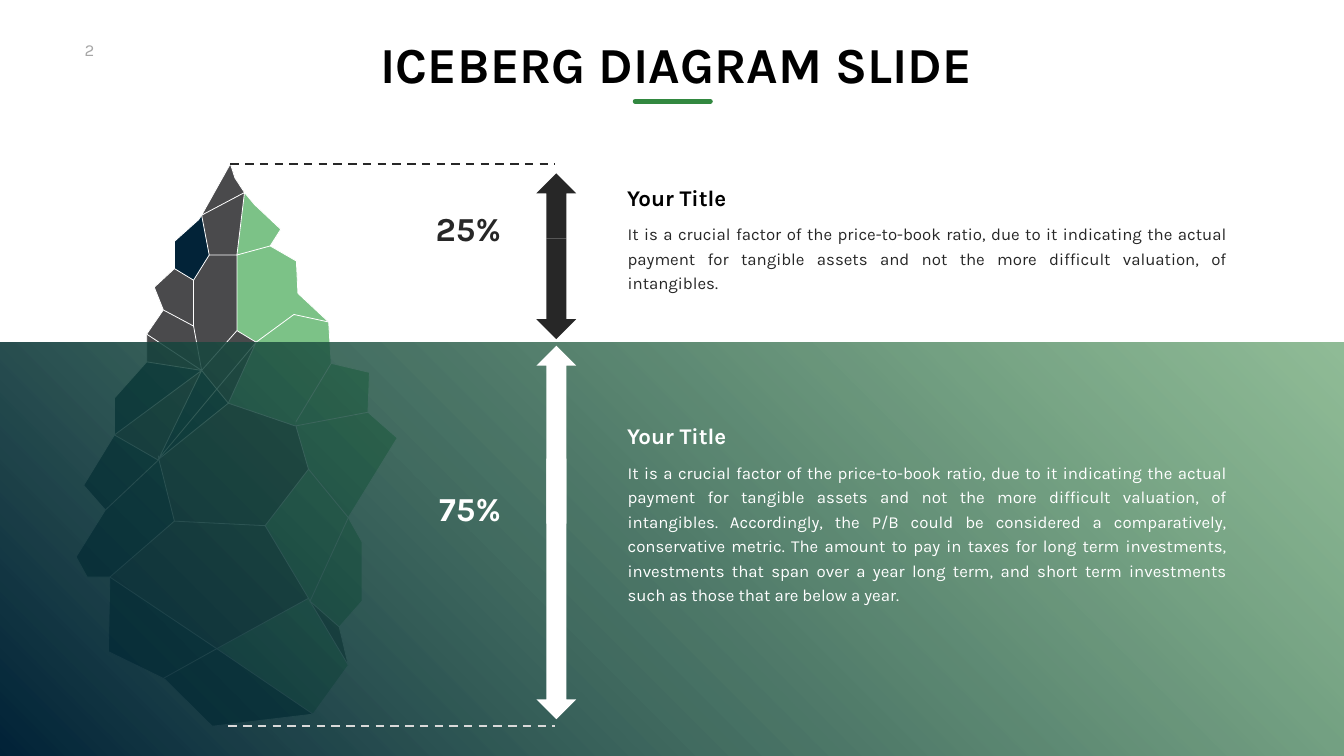
"""Build an iceberg diagram slide with a visible 25% and a submerged 75%."""
from dataclasses import dataclass

from lxml import etree
from pptx import Presentation
from pptx.dml.color import RGBColor
from pptx.enum.dml import MSO_LINE
from pptx.enum.shapes import MSO_CONNECTOR, MSO_SHAPE
from pptx.enum.text import MSO_ANCHOR, MSO_AUTO_SIZE, PP_ALIGN
from pptx.oxml.ns import qn
from pptx.util import Inches, Pt

STRAIGHT = MSO_CONNECTOR.STRAIGHT
DASH = MSO_LINE.DASH
RECTANGLE, UP, DOWN = MSO_SHAPE.RECTANGLE, MSO_SHAPE.UP_ARROW, MSO_SHAPE.DOWN_ARROW
TOP, MIDDLE = MSO_ANCHOR.TOP, MSO_ANCHOR.MIDDLE
GROW = MSO_AUTO_SIZE.SHAPE_TO_FIT_TEXT
LEFT, CENTER, RIGHT, JUSTIFY = PP_ALIGN.LEFT, PP_ALIGN.CENTER, PP_ALIGN.RIGHT, PP_ALIGN.JUSTIFY
TITLE_ONLY = 5


@dataclass(frozen=True)
class Theme:
    font: str = "Karla"
    black: str = "000000"
    white: str = "FFFFFF"
    ink: str = "272727"
    muted: str = "A6A6A6"
    pale: str = "D9D9D9"
    accent: str = "328840"
    navy: str = "022338"
    grey: str = "4A4A4C"
    green: str = "7CC287"
    sea: str = "428D4E"
    title_size: int = 72
    percent_size: int = 48
    heading_size: int = 32
    body_size: int = 24
    body_leading: int = 35
    seam_width: float = 1.13
    dash_width: float = 3
    rule_width: float = 7


THEME = Theme()


@dataclass(frozen=True)
class Facet:
    color: str
    corners: tuple[int, ...]


@dataclass(frozen=True)
class Label:
    text: str
    box: tuple[float, float, float, float]
    size: int
    color: str
    bold: bool = True
    align: PP_ALIGN = LEFT
    anchor: MSO_ANCHOR = TOP
    insets: tuple[float, float, float, float] = (0.1, 0.05, 0.1, 0.05)
    wrap: bool = False
    leading: int | None = None


@dataclass(frozen=True)
class Section:
    percent: str
    percent_top: float
    heading_top: float
    body: str
    body_height: float
    heading_color: str
    color: str
    up_arrow: tuple[float, float]
    down_arrow: tuple[float, float]


OUTLINE = (
    (4.57, 3.25), (4.66, 3.53), (4.85, 3.82), (5.05, 4.06), (5.57, 4.55), (5.36, 4.88),
    (5.88, 5.18), (5.91, 5.82), (6.52, 6.39), (6.57, 7.21), (7.33, 7.39), (7.3, 8.18),
    (7.88, 8.69), (6.91, 10.27), (7.18, 10.75), (7.18, 11.93), (6.73, 12.44), (6.91, 13.2),
    (6.21, 14.17), (4.21, 14.41), (3.27, 13.48), (3.24, 13.46), (2.15, 12.93), (2.18, 11.45),
    (1.73, 11.45), (1.51, 11.05), (2.09, 10.12), (1.66, 9.63), (2.27, 8.63), (2.27, 7.9),
    (2.91, 7.18), (2.91, 6.63), (3.24, 6.15), (3.06, 5.7), (3.46, 5.33), (3.46, 4.79),
    (3.94, 4.36), (4, 4.27),
)
VERTICES = OUTLINE + (
    (4.7, 5.06), (5.83, 6.24), (5.08, 6.79), (4.7, 6.56), (4.53, 8), (5.87, 8.37),
    (5.85, 8.45), (5.87, 8.45), (6.12, 9.31), (5.26, 10.43), (6.15, 11.93), (6.12, 11.87),
    (4.3, 12.87), (3.46, 10.34), (3.15, 9.11), (3.14, 9.13), (3.15, 9.1), (4.3, 7.72),
    (4, 7.35), (4.15, 5.06), (3.84, 5.56), (3.84, 6.47), (3.14, 9.04),
)
FACETS = (
    Facet(THEME.grey, (16, 17, 48)), Facet(THEME.green, (4, 5, 38, 2, 3)),
    Facet(THEME.green, (8, 39, 40, 41, 38, 5, 6, 7)),
    Facet(THEME.green, (8, 9, 43, 44, 42, 40, 39)),
    Facet(THEME.green, (10, 11, 45, 44, 43, 9)), Facet(THEME.green, (12, 13, 46, 45, 11)),
    Facet(THEME.green, (46, 13, 48, 49, 47)), Facet(THEME.green, (14, 15, 16, 48, 13)),
    Facet(THEME.green, (48, 17, 18, 50, 49)), Facet(THEME.grey, (2, 37, 0, 1)),
    Facet(THEME.navy, (18, 19, 20, 21, 50)),
    Facet(THEME.grey, (45, 46, 47, 51, 52, 42, 44)),
    Facet(THEME.grey, (49, 50, 23, 51, 47)), Facet(THEME.grey, (40, 42, 55)),
    Facet(THEME.grey, (40, 55, 56, 41)), Facet(THEME.grey, (2, 38, 57, 37)),
    Facet(THEME.grey, (38, 41, 56, 59, 58, 57)), Facet(THEME.navy, (55, 42, 52, 54)),
    Facet(THEME.navy, (50, 21, 22, 23)), Facet(THEME.navy, (56, 55, 54)),
    Facet(THEME.navy, (37, 57, 58, 34, 35, 36)), Facet(THEME.grey, (59, 56, 31, 32)),
    Facet(THEME.grey, (54, 53, 28, 56)), Facet(THEME.navy, (56, 28, 29, 30)),
    Facet(THEME.grey, (56, 30, 31)), Facet(THEME.grey, (58, 59, 32, 33, 34)),
    Facet(THEME.navy, (52, 51, 23, 24, 25, 26, 53)), Facet(THEME.navy, (53, 26, 27, 28)),
)
SEAMS = (
    (8, 39, 40, 41, 38, 2, 37, 57, 38, 5), (34, 58, 57), (58, 59, 32), (59, 56, 31),
    (30, 56, 41), (56, 55, 42, 40, 55, 54, 53, 28, 56, 54, 53, 26), (48, 17),
    (60, 54, 52, 51, 47, 49, 48), (49, 50, 21), (18, 50, 23, 51), (47, 46, 13, 48, 16),
    (46, 45, 11), (43, 9), (45, 44, 42, 52, 53),
)
SUMMARY = (
    "It is a crucial factor of the price-to-book ratio, due to it indicating the actual payment "
    "for tangible assets and not the more difficult valuation, of intangibles."
)
DETAILS = (
    " Accordingly, the P/B could be considered a comparatively, conservative metric. The amount "
    "to pay in taxes for long term investments, investments that span over a year long term, and "
    "short term investments such as those that are below a year."
)
SECTIONS = (
    Section("25%", 4.08, 3.6, SUMMARY, 1.19, THEME.black, THEME.ink, (3.44, 1.29), (4.73, 2)),
    Section("75%", 9.63, 8.33, SUMMARY + DETAILS, 3.15, THEME.white, THEME.white,
            (6.86, 3.53), (9.1, 5.17)),
)


def rgb(color: str) -> RGBColor:
    return RGBColor.from_string(color)


def draw_line(shapes, start: tuple, end: tuple, color: str, width: float):
    connector = shapes.add_connector(STRAIGHT, *map(Inches, start + end))
    connector.line.color.rgb = rgb(color)
    connector.line.width = Pt(width)
    etree.SubElement(connector._element.spPr, qn("a:effectLst"))
    return connector


def draw_path(shapes, indices, closed: bool, fill: str | None = None) -> None:
    points = [tuple(map(Inches, VERTICES[index])) for index in indices]
    builder = shapes.build_freeform(*points[0])
    builder.add_line_segments(points[1:], close=closed)
    shape = builder.convert_to_shape()
    shape.shadow.inherit = False
    if fill:
        shape.fill.solid()
        shape.fill.fore_color.rgb = rgb(fill)
        shape.line.fill.background()
    else:
        shape.fill.background()
        shape.line.color.rgb = rgb(THEME.white)
        shape.line.width = Pt(THEME.seam_width)


def draw_iceberg(slide) -> None:
    shapes = slide.shapes.add_group_shape().shapes
    for facet in FACETS:
        draw_path(shapes, facet.corners, True, facet.color)
    draw_path(shapes, range(len(OUTLINE)), True)
    for seam in SEAMS:
        if len(seam) == 2:
            start, end = (VERTICES[index] for index in seam)
            draw_line(shapes, start, end, THEME.white, THEME.seam_width)
        else:
            draw_path(shapes, seam, False)


def draw_shape(slide, kind: MSO_SHAPE, box: tuple, color: str):
    shape = slide.shapes.add_shape(kind, *map(Inches, box))
    shape.shadow.inherit = False
    shape.fill.solid()
    shape.fill.fore_color.rgb = rgb(color)
    shape.line.fill.background()
    return shape


def draw_sea(slide) -> None:
    fill = draw_shape(slide, RECTANGLE, (0, 6.79, 26.66, 8.21), THEME.navy).fill
    fill.gradient()
    fill.gradient_angle = 45
    for stop, color, position in zip(fill.gradient_stops, (THEME.navy, THEME.sea), (0, 1)):
        stop.color.rgb = rgb(color)
        stop.position = position
    sea_color = fill._xPr.findall(".//" + qn("a:srgbClr"))[-1]
    etree.SubElement(sea_color, qn("a:alpha")).set("val", "59000")


def write_label(shape, label: Label) -> None:
    shape.left, shape.top, shape.width, shape.height = map(Inches, label.box)
    frame = shape.text_frame
    frame.word_wrap = label.wrap
    frame.auto_size = GROW
    frame.vertical_anchor = label.anchor
    frame.margin_left, frame.margin_top, frame.margin_right, frame.margin_bottom = map(
        Inches, label.insets)
    paragraph = frame.paragraphs[0]
    paragraph.alignment = label.align
    if label.leading:
        paragraph.line_spacing = Pt(label.leading)
    run = paragraph.add_run()
    run.text = label.text
    run.font.name = THEME.font
    run.font.size = Pt(label.size)
    run.font.bold = label.bold
    run.font.color.rgb = rgb(label.color)


def add_label(slide, label: Label) -> None:
    write_label(slide.shapes.add_textbox(*map(Inches, label.box)), label)


def draw_section(slide, section: Section) -> None:
    for kind, (top, height) in ((DOWN, section.down_arrow), (UP, section.up_arrow)):
        draw_shape(slide, kind, (10.64, top, 0.79, height), section.color)
    add_label(slide, Label("Your Title", (12.34, section.heading_top, 2.35, 0.64),
                           THEME.heading_size, section.heading_color, anchor=MIDDLE))
    add_label(slide, Label(section.body,
                           (12.21, section.heading_top + 0.64, 12.36, section.body_height),
                           THEME.body_size, section.color, False, JUSTIFY,
                           insets=(0.24, 0.12, 0.24, 0.12), wrap=True,
                           leading=THEME.body_leading))
    add_label(slide, Label(section.percent, (8.46, section.percent_top, 1.58, 0.91),
                           THEME.percent_size, section.color, align=RIGHT))


def main() -> None:
    presentation = Presentation()
    presentation.slide_width, presentation.slide_height = Inches(26.66), Inches(15)
    slide = presentation.slides.add_slide(presentation.slide_layouts[TITLE_ONLY])
    write_label(slide.shapes.title, Label("ICEBERG DIAGRAM SLIDE", (7.17, 0.65, 12.39, 1.21),
                                          THEME.title_size, THEME.black, align=CENTER,
                                          insets=(0.1, 0, 0, 0)))
    add_label(slide, Label("2", (1.58, 0.74, 0.75, 0.5), THEME.body_size, THEME.muted, False))
    draw_iceberg(slide)
    draw_sea(slide)
    for left, top, color in ((4.57, 3.25, THEME.ink), (4.53, 14.41, THEME.pale)):
        guide = draw_line(slide.shapes, (left, top), (11, top), color, THEME.dash_width)
        guide.line.dash_style = DASH
    for section in SECTIONS:
        draw_section(slide, section)
    rule = draw_line(slide.shapes, (12.6, 2.01), (14.09, 2.01), THEME.accent, THEME.rule_width)
    rule.line._get_or_add_ln().set("cap", "rnd")
    presentation.save("out.pptx")


if __name__ == "__main__":
    main()
